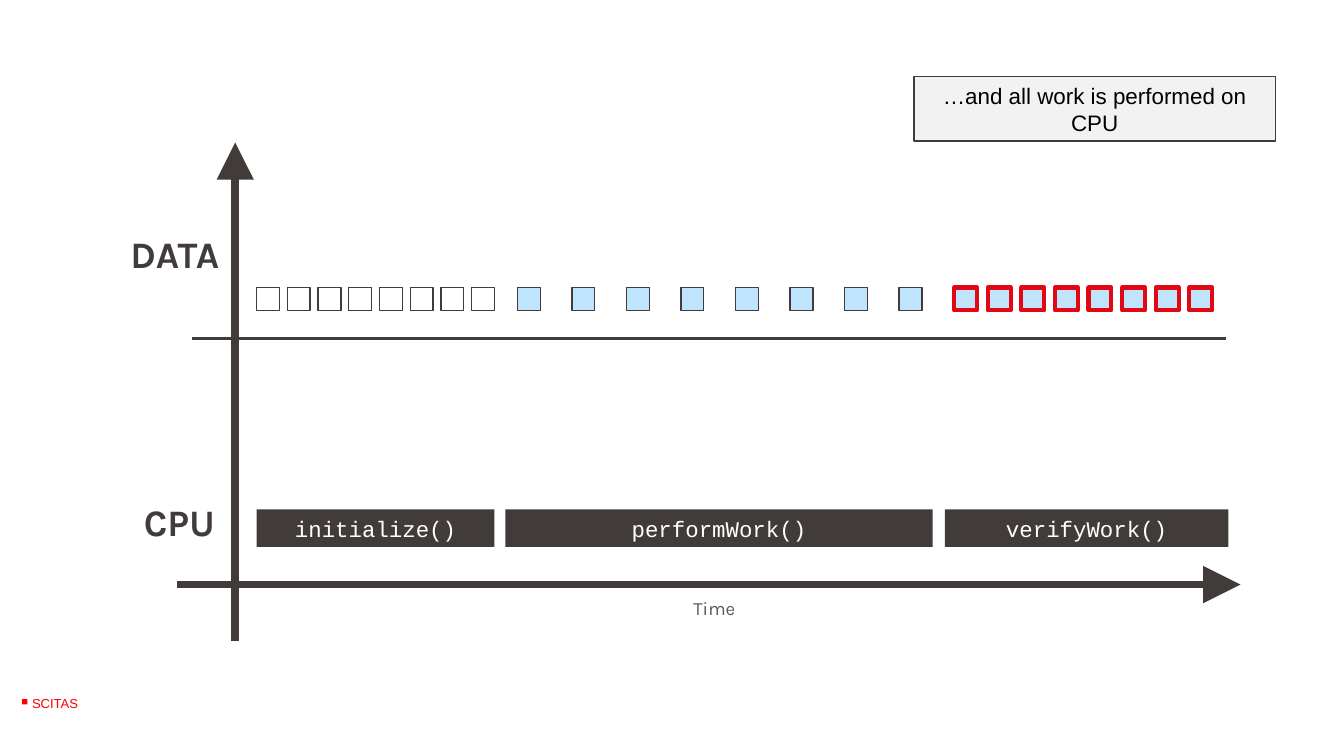
from pptx import Presentation
from pptx.dml.color import RGBColor
from pptx.enum.shapes import MSO_CONNECTOR, MSO_SHAPE
from pptx.enum.text import MSO_ANCHOR, PP_ALIGN
from pptx.oxml.ns import qn
from pptx.util import Inches, Pt
from lxml import etree

RECTANGLE = MSO_SHAPE.RECTANGLE
STRAIGHT = MSO_CONNECTOR.STRAIGHT
TOP, MIDDLE, BOTTOM = MSO_ANCHOR.TOP, MSO_ANCHOR.MIDDLE, MSO_ANCHOR.BOTTOM
LEFT, CENTER = PP_ALIGN.LEFT, PP_ALIGN.CENTER

COLORS = {
    "dark": "413C3A",
    "grey": "595959",
    "pale": "F2F2F2",
    "blue": "C0E3FE",
    "red": "E30613",
    "brand": "FF0000",
    "white": "FFFFFF",
    "black": "000000",
}
SQUARE_COUNT = 8


def color(name):
    return RGBColor.from_string(COLORS[name])


def write_text(box, text, size=12, font="Arial", ink="dark", bold=False, align=LEFT,
               anchor=TOP, insets=(0.08, 0.04), spacing=None, wrap=True):
    frame = box.text_frame
    frame.word_wrap = wrap
    frame.vertical_anchor = anchor
    frame.margin_left = frame.margin_right = Inches(insets[0])
    frame.margin_top = frame.margin_bottom = Inches(insets[1])
    para = frame.paragraphs[0]
    para.alignment = align
    if spacing:
        para.line_spacing = spacing
    span = para.add_run()
    span.text = text
    span.font.name = font
    span.font.size = Pt(size)
    span.font.bold = bold
    span.font.color.rgb = color(ink)


class Diagram:
    def __init__(self, page):
        self.page = page

    def label(self, text, left, top, width, height, **style):
        box = self.page.shapes.add_textbox(
            Inches(left), Inches(top), Inches(width), Inches(height))
        write_text(box, text, wrap=False, **style)

    def rectangle(self, left, top, width, height, fill=None, line=None, weight=0.75, parent=None):
        box = (parent or self.page).shapes.add_shape(
            RECTANGLE, Inches(left), Inches(top), Inches(width), Inches(height))
        box.shadow.inherit = False
        if fill:
            box.fill.solid()
            box.fill.fore_color.rgb = color(fill)
        else:
            box.fill.background()
        if line:
            box.line.color.rgb = color(line)
            box.line.width = Pt(weight)
        else:
            box.line.fill.background()
        return box

    def squares(self, first, last, **style):
        group = self.page.shapes.add_group_shape()
        step = (last - first) / (SQUARE_COUNT - 1)
        for index in range(SQUARE_COUNT):
            self.rectangle(first + index * step, 2.14, 0.17, 0.17, parent=group, **style)

    def line(self, start, end, weight, arrow=False):
        connector = self.page.shapes.add_connector(
            STRAIGHT, *(Inches(value) for value in start + end))
        connector.line.color.rgb = color("dark")
        connector.line.width = Pt(weight)
        if arrow:
            etree.SubElement(connector.line._get_or_add_ln(), qn("a:tailEnd"),
                             type="triangle", w="lg", len="lg")
        etree.SubElement(connector._element.spPr, qn("a:effectLst"))


def main():
    deck = Presentation()
    deck.slide_width = Inches(10)
    deck.slide_height = deck.slide_width * 9 // 16
    diagram = Diagram(deck.slides.add_slide(deck.slide_layouts[6]))

    diagram.label("■", 0.06, 5.07, 0.31, 0.31, size=6, ink="brand", bold=True,
                  anchor=MIDDLE, insets=(0.1, 0.1), spacing=0.9)
    diagram.label("SCITAS", 0.14, 4.92, 0.56, 0.62, size=7, ink="brand",
                  anchor=MIDDLE, insets=(0.1, 0.05))

    diagram.line((1.75, 4.77), (1.75, 1.06), 4, arrow=True)
    diagram.line((1.32, 4.35), (9.23, 4.35), 4, arrow=True)

    axis_style = {"font": "Karla", "anchor": BOTTOM, "spacing": 0.9}
    diagram.label("CPU", 0.99, 3.74, 0.73, 0.35, size=20, bold=True, **axis_style)
    diagram.label("Time", 5.08, 4.42, 0.65, 0.23, size=10, ink="grey", **axis_style)

    for text, left, width in (("initialize()", 1.91, 1.77),
                              ("performWork()", 3.76, 3.18),
                              ("verifyWork()", 7.03, 2.11)):
        task = diagram.rectangle(left, 3.79, width, 0.28, fill="dark")
        write_text(task, text, font="Courier New", ink="white", align=CENTER, anchor=MIDDLE)

    diagram.squares(1.91, 3.51, line="dark")
    diagram.squares(3.85, 6.69, fill="blue", line="dark")
    diagram.squares(7.1, 8.85, fill="blue", line="red", weight=2.25)
    diagram.line((1.43, 2.52), (9.12, 2.52), 1.5)

    callout = diagram.rectangle(6.8, 0.57, 2.69, 0.48, fill="pale", line="dark")
    write_text(callout, "…and all work is performed on CPU", ink="black", align=CENTER)
    diagram.label("DATA", 0.89, 1.75, 0.93, 0.35, size=20, bold=True, **axis_style)

    deck.save("out.pptx")


if __name__ == "__main__":
    main()
